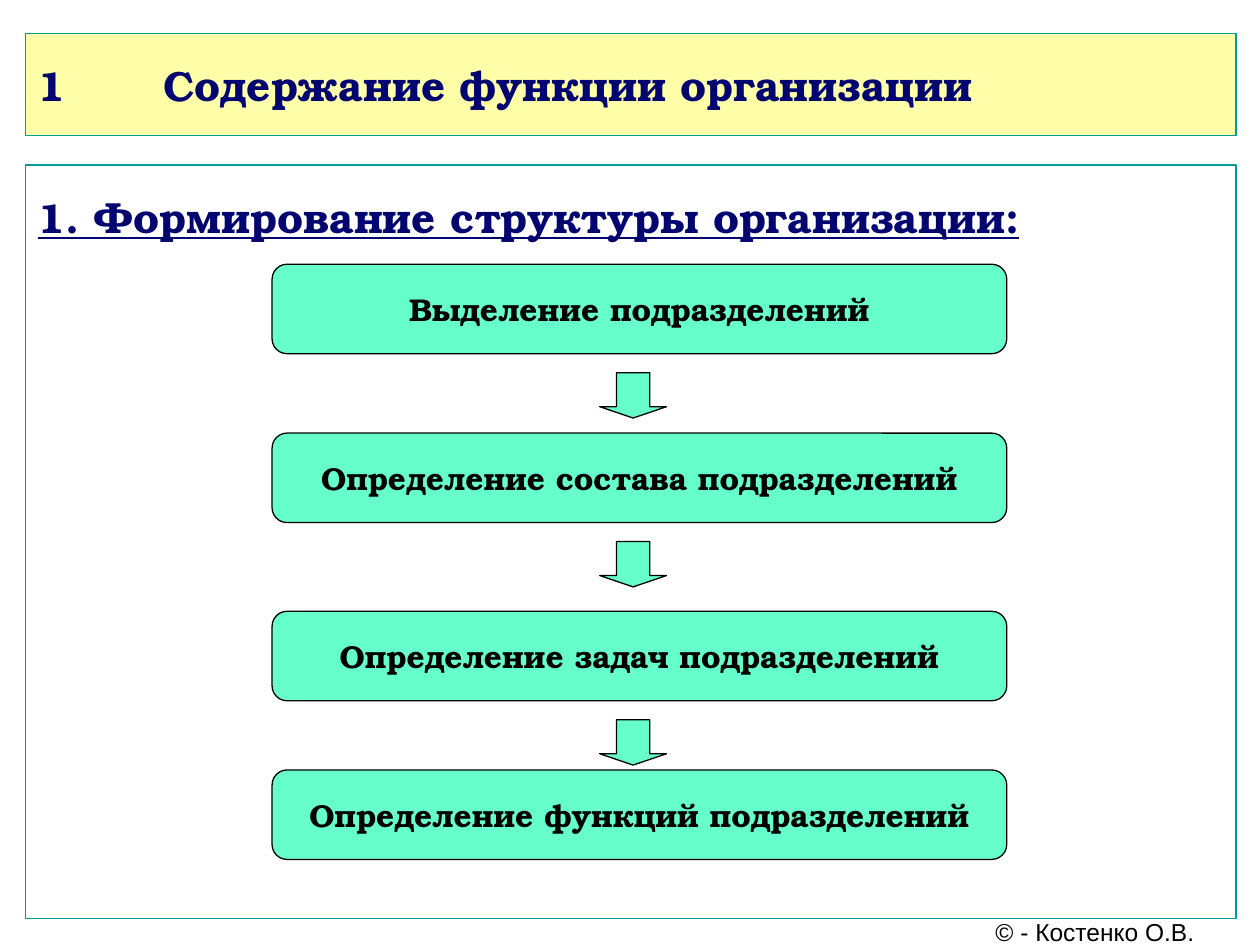
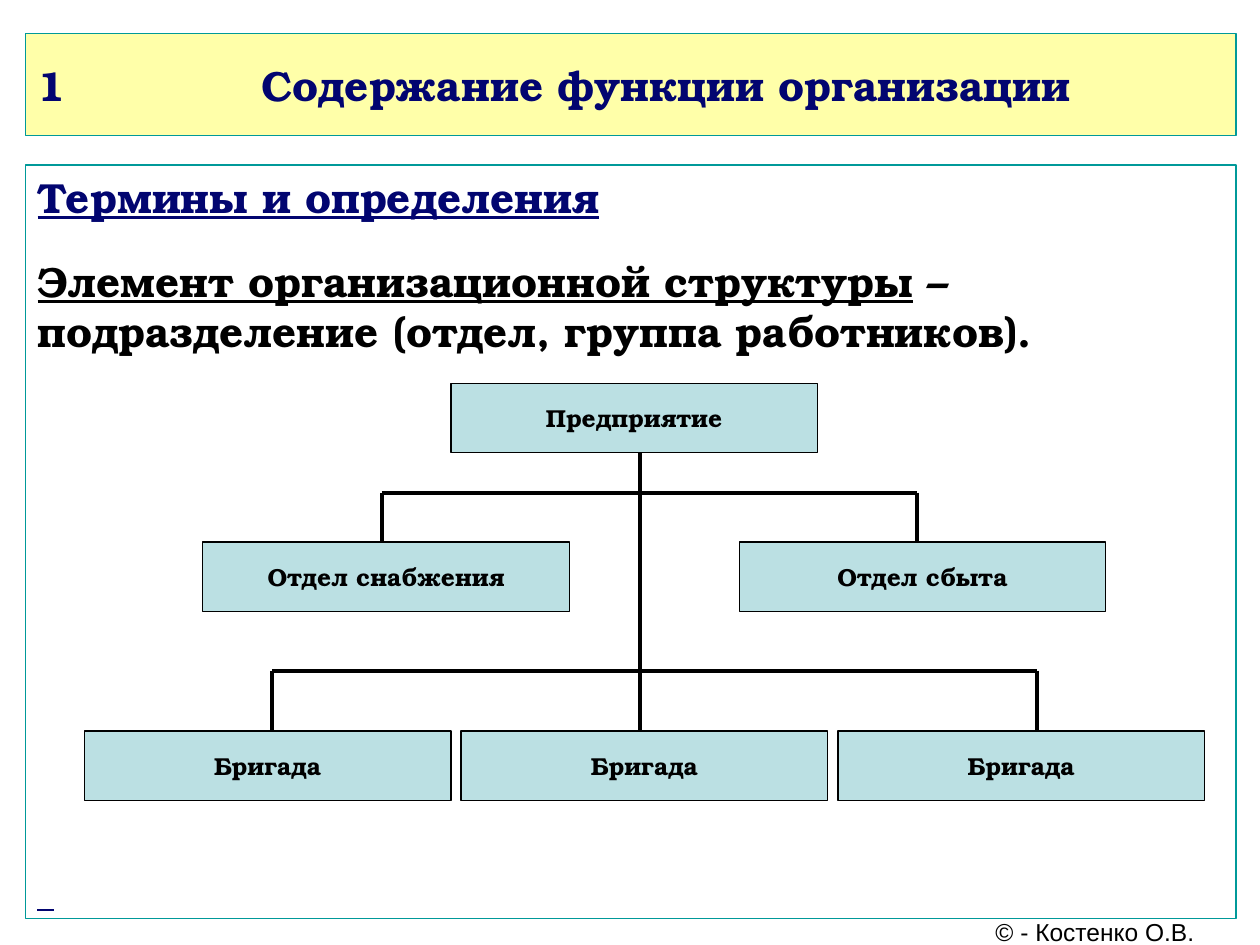
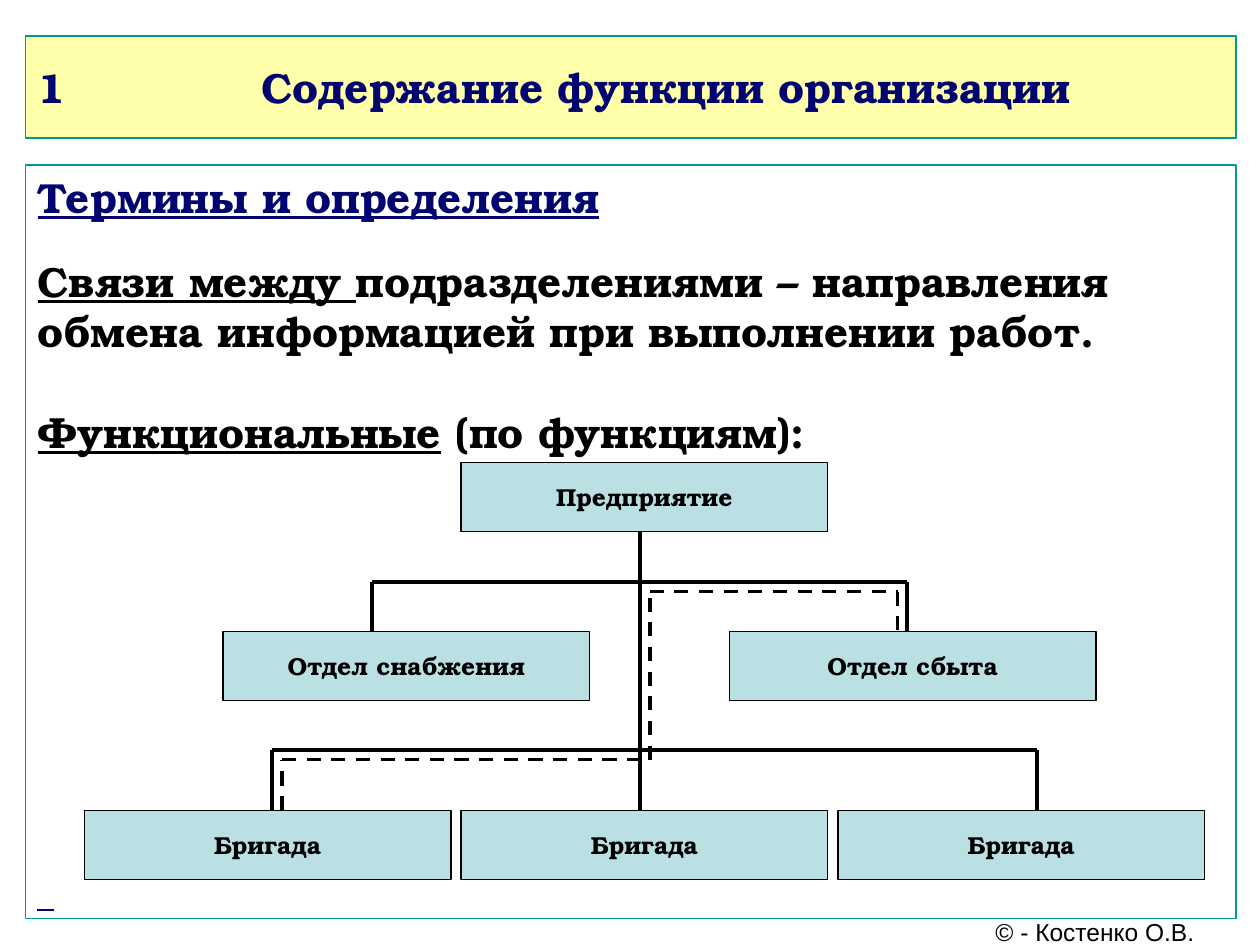
import dataclasses
import itertools

import lxml.etree
import pptx
import pptx.dml.color
import pptx.enum.dml
import pptx.enum.shapes
import pptx.enum.text
import pptx.oxml.ns
import pptx.util

Pt = pptx.util.Pt
SHAPE = pptx.enum.shapes.MSO_SHAPE
ALIGN = pptx.enum.text.PP_ALIGN
ANCHOR = pptx.enum.text.MSO_ANCHOR


@dataclasses.dataclass(frozen=True)
class Theme:
    """Colours, fonts and sizes shared by the slides."""

    navy: str = "020570"
    black: str = "000000"
    teal: str = "009999"
    cream: str = "FFFFA9"
    white: str = "FFFFFF"
    mint: str = "66FFCC"
    pale_blue: str = "BBE0E3"
    serif: str = "TeX Gyre Bonum"
    sans: str = "Arial"
    heading: float = 24
    step: float = 18
    label: float = 14
    thin: float = 0.75
    thick: float = 2.25
    dashed: float = 2


T = Theme()
TITLE = "Содержание функции организации"
FOOTER = "© - Костенко О.В."
TERMS = "Термины и определения"
BODY = (14.4, 94.3, 692, 430.6)


def rgb(color):
    """Turn a hex string into a colour."""
    return pptx.dml.color.RGBColor.from_string(color)


def write(p, text, *, size=T.heading, color=T.black, font=T.serif, bold=True,
          underline=False, align=None, before=0):
    """Add a formatted run to a paragraph."""
    if align is not None:
        p.alignment = align
    if before:
        p.space_before = Pt(before)
    r = p.add_run()
    r.text = text
    r.font.name, r.font.size = font, Pt(size)
    r.font.bold, r.font.underline = bold, underline
    r.font.color.rgb = rgb(color)


def shape(s, kind, box, fill, line=T.black):
    """Add a flat filled shape and return it."""
    sp = s.shapes.add_shape(kind, *map(Pt, box))
    sp.shadow.inherit = False
    sp.fill.solid()
    sp.fill.fore_color.rgb = rgb(fill)
    sp.line.color.rgb = rgb(line)
    sp.line.width = Pt(T.thin)
    return sp


def frame(sp, anchor=ANCHOR.MIDDLE, wrap=True, top=3.6):
    """Set up the text frame of a shape and return it."""
    tf = sp.text_frame
    tf.word_wrap, tf.vertical_anchor = wrap, anchor
    tf.margin_left = tf.margin_right = Pt(7.2)
    tf.margin_top, tf.margin_bottom = Pt(top), Pt(3.6)
    return tf


def label(s, kind, box, text, fill, size):
    """Add a shape with a centred caption."""
    sp = shape(s, kind, box, fill)
    p = frame(sp, wrap=False).paragraphs[0]
    write(p, text, size=size, align=ALIGN.CENTER)


def line(s, start, end, color=T.black, width=T.thick, dash=None):
    """Draw a straight line between two points."""
    c = s.shapes.add_connector(pptx.enum.shapes.MSO_CONNECTOR.STRAIGHT,
                               *map(Pt, (*start, *end)))
    c.line.color.rgb = rgb(color)
    c.line.width = Pt(width)
    if dash:
        c.line.dash_style = dash
    props = c._element.spPr
    lxml.etree.SubElement(props, pptx.oxml.ns.qn("a:effectLst"))


def title_band(s, top, tab):
    """Add the numbered title, its words starting at the tab stop."""
    sp = shape(s, SHAPE.RECTANGLE, (14.4, top, 692, 58.3), T.cream, T.teal)
    p = frame(sp).paragraphs[0]
    tabs = lxml.etree.SubElement(p._p.get_or_add_pPr(), pptx.oxml.ns.qn("a:tabLst"))
    lxml.etree.SubElement(tabs, pptx.oxml.ns.qn("a:tab"), pos=str(Pt(tab)), algn="l")
    write(p, f"1\t{TITLE}", color=T.navy, align=ALIGN.LEFT)


def body_panel(s, heading, paragraphs=(), top=3.6):
    """Add the framed panel with its heading and paragraphs of runs."""
    sp = shape(s, SHAPE.RECTANGLE, BODY, T.white, T.teal)
    tf = frame(sp, ANCHOR.TOP, top=top)
    write(tf.paragraphs[0], heading, color=T.navy, underline=True, align=ALIGN.LEFT)
    for before, runs in paragraphs:
        p = tf.add_paragraph()
        for text, underline in runs:
            write(p, text, underline=underline, align=ALIGN.LEFT, before=before)


def footer(s):
    """Add the copyright line under the panel."""
    sp = s.shapes.add_textbox(*map(Pt, (553, 524.9, 145.4, 15.1)))
    p = frame(sp, wrap=False).paragraphs[0]
    write(p, FOOTER, size=T.label, font=T.sans, bold=False, align=ALIGN.CENTER)


def step_flow(s, left, top, steps):
    """Stack the steps at their offsets with an arrow after each but the last."""
    for text, y in steps:
        label(s, SHAPE.ROUNDED_RECTANGLE, (left, top + y, 419.8, 51.1),
              text, T.mint, T.step)
    for _, y in steps[:-1]:
        sp = shape(s, SHAPE.DOWN_ARROW, (left + 187.2, top + y + 62, 38.2, 25.9), T.mint)
        sp.adjustments[0], sp.adjustments[1] = 0.5, 0.25


def org_chart(s, left, top, root, departments, drops, department_y, linked=False):
    """Draw the company, its departments and crews, and optionally a dashed link."""
    width, height, pitch, crew_y = 209.5, 39.6, 215.3, 198.7
    trunk, crew_drops = 317.5, (107.3, 544.4)
    upper, lower = department_y - 28.2, crew_y - 34.5

    def at(x, y):
        """Shift a point into the chart's area."""
        return left + x, top + y

    nodes = [("Предприятие", root, 0)]
    nodes += [(text, x, department_y)
              for text, x in zip(("Отдел снабжения", "Отдел сбыта"), departments)]
    nodes += [("Бригада", i * pitch, crew_y) for i in range(3)]
    for text, x, y in nodes:
        label(s, SHAPE.RECTANGLE, (*at(x, y), width, height), text, T.pale_blue, T.label)

    line(s, at(trunk, height), at(trunk, crew_y))
    for xs, bus, end in ((drops, upper, department_y), (crew_drops, lower, crew_y)):
        line(s, at(xs[0], bus), at(xs[1], bus))
        for x in xs:
            line(s, at(x, bus), at(x, end))

    if linked:
        gap = 5.6
        first, middle, last = crew_drops[0] + gap, trunk + gap, drops[1] - gap
        route = [(first, crew_y), (first, lower + gap), (middle, lower + gap),
                 (middle, upper + gap), (last, upper + gap), (last, department_y)]
        for a, b in itertools.pairwise(route):
            line(s, at(*a), at(*b), width=T.dashed,
                 dash=pptx.enum.dml.MSO_LINE.DASH)


def structure_slide(s):
    """Build the slide on forming the structure."""
    title_band(s, 19.2, 72)
    body_panel(s, "1. Формирование структуры организации:", top=15.4)
    step_flow(s, 155.5, 151, (("Выделение подразделений", 0),
                              ("Определение состава подразделений", 96.5),
                              ("Определение задач подразделений", 198.3),
                              ("Определение функций подразделений", 289)))
    footer(s)


def terms_slide(s, title_top, paragraphs, chart_top, **chart):
    """Build a slide of definitions above an organisation chart."""
    title_band(s, title_top, 128)
    body_panel(s, TERMS, paragraphs)
    line(s, (21.2, 520), (30.9, 520), T.navy, 1.5)
    org_chart(s, 48.2, chart_top, **chart)
    footer(s)


def main():
    """Build and save the presentation."""
    prs = pptx.Presentation()
    prs.slide_width, prs.slide_height = Pt(720), Pt(540)
    slides = [prs.slides.add_slide(prs.slide_layouts[6]) for _ in range(3)]

    structure_slide(slides[0])
    terms_slide(
        slides[1], 19.2,
        [(19.2, [("Элемент организационной структуры", True),
                 (" – подразделение (отдел, группа работников).", False)])],
        219, root=209.5, departments=(67.7, 374.2), drops=(170, 476),
        department_y=90.7)
    terms_slide(
        slides[2], 20.5,
        [(19.2, [("Связи между ", True),
                 ("подразделениями – направления обмена информацией "
                  "при выполнении работ.", False)]),
         (28.8, [("Функциональные", True), (" (по функциям):", False)])],
        264.3, root=215.3, departments=(79.2, 368.6), drops=(164.3, 470.3),
        department_y=96.4, linked=True)
    prs.save("out.pptx")


if __name__ == "__main__":
    main()
